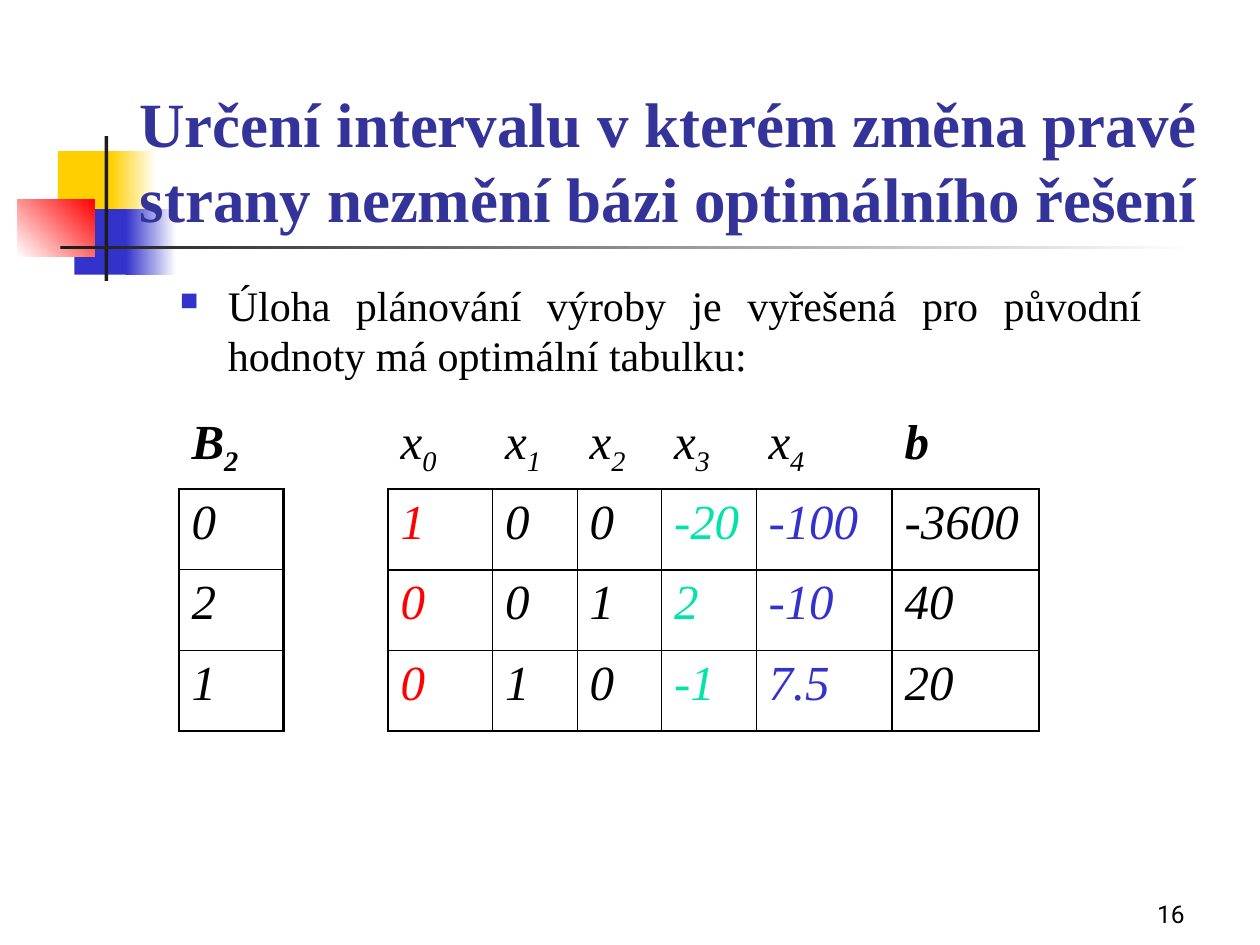
"""Build the slide on the right-hand-side interval of an optimal simplex table."""
from typing import NamedTuple, Optional

from lxml.etree import SubElement
from pptx import Presentation
from pptx.dml.color import RGBColor
from pptx.enum.shapes import MSO_SHAPE as Shape
from pptx.enum.text import MSO_ANCHOR as Anchor, MSO_AUTO_SIZE as AutoSize, PP_ALIGN as Align
from pptx.oxml.ns import qn
from pptx.util import Inches, Pt

BLACK = RGBColor(0x00, 0x00, 0x00)
WHITE = RGBColor(0xFF, 0xFF, 0xFF)
CHARCOAL = RGBColor(0x1C, 0x1C, 0x1C)
YELLOW = RGBColor(0xFF, 0xCF, 0x01)
BLUE = RGBColor(0x33, 0x33, 0xCC)
NAVY = RGBColor(0x33, 0x33, 0x99)
RED = RGBColor(0xFF, 0x00, 0x00)
GREEN = RGBColor(0x00, 0xE4, 0xA8)
SERIF = "Times New Roman"
THICK, THIN = 1.47, 0.45


class Area(NamedTuple):
    left: float
    top: float
    width: float
    height: float

    def lengths(self) -> list:
        return [Inches(value) for value in self]


class Block(NamedTuple):
    area: Area
    start: RGBColor
    end: Optional[RGBColor] = None
    angle: float = 0


BLOCKS = [
    Block(Area(0.46, 1.2, 0.48, 0.52), YELLOW),
    Block(Area(0.88, 1.2, 0.36, 0.52), YELLOW, WHITE),
    Block(Area(0.59, 1.66, 0.46, 0.52), BLUE),
    Block(Area(1, 1.66, 0.4, 0.52), BLUE, WHITE),
    Block(Area(0.14, 1.58, 0.61, 0.46), WHITE, RED, 45),
    Block(Area(0.83, 1.08, 0.03, 1.15), CHARCOAL),
    Block(Area(0.48, 1.95, 9, 0.03), CHARCOAL, WHITE),
]
TABLE_AREA = Area(1.42, 3.25, 6.83, 2.56)
COLUMN_WIDTHS = [0.83, 0.83, 0.83, 0.67, 0.67, 0.75, 1.08, 1.17]
ROW_HEIGHTS = [0.63, 0.64, 0.64, 0.64]
GAP_COLUMN, FIRST_X, B_COLUMN = 1, 2, 7
COLUMN_COLORS = {2: RED, 5: GREEN, 6: BLUE}
ROWS = [
    ["B_2", "", "x_0", "x_1", "x_2", "x_3", "x_4", "b"],
    ["0", "", "1", "0", "0", "-20", "-100", "-3600"],
    ["2", "", "0", "0", "1", "2", "-10", "40"],
    ["1", "", "0", "1", "0", "-1", "7.5", "20"],
]


def draw_block(page, block: Block) -> None:
    shape = page.shapes.add_shape(Shape.RECTANGLE, *block.area.lengths())
    shape.shadow.inherit = False
    shape.line.fill.background()
    if block.end is None:
        shape.fill.solid()
        shape.fill.fore_color.rgb = block.start
        return
    shape.fill.gradient()
    shape.fill.gradient_angle = block.angle
    for stop, color in zip(shape.fill.gradient_stops, (block.start, block.end)):
        stop.color.rgb = color


def add_span(para, text: str, size: float, color: RGBColor, name: str = SERIF,
             bold: bool = False, italic: bool = False):
    span = para.add_run()
    span.text = text
    font = span.font
    font.name, font.size, font.bold, font.italic = name, Pt(size), bold, italic
    font.color.rgb = color
    return span


def add_text_box(page, area: Area, align: Align, anchor: Anchor):
    frame = page.shapes.add_textbox(*area.lengths()).text_frame
    frame.word_wrap = True
    frame.vertical_anchor = anchor
    para = frame.paragraphs[0]
    para.alignment = align
    return para


def add_square_bullet(para) -> None:
    props = para._p.get_or_add_pPr()
    props.set("marL", str(Inches(0.38)))
    props.set("indent", str(-Inches(0.38)))
    color = SubElement(props, qn("a:buClr"))
    SubElement(color, qn("a:srgbClr"), val=str(BLUE))
    SubElement(props, qn("a:buSzPct"), val="60000")
    SubElement(props, qn("a:buChar"), char="■")


def is_boxed(row: int, column: int) -> bool:
    return 0 < row < len(ROWS) and 0 <= column <= B_COLUMN and column != GAP_COLUMN


def edge_width(first: tuple, second: tuple) -> float:
    boxed = is_boxed(*first) + is_boxed(*second)
    if boxed < 2:
        return THICK * boxed
    below_objective = first[0] == 1 and second[0] == 2 and first[1] >= FIRST_X
    return THICK if below_objective or second[1] > first[1] == B_COLUMN - 1 else THIN


def set_borders(cell, row: int, column: int) -> None:
    here = (row, column)
    widths = {
        "a:lnL": edge_width((row, column - 1), here),
        "a:lnR": edge_width(here, (row, column + 1)),
        "a:lnT": edge_width((row - 1, column), here),
        "a:lnB": edge_width(here, (row + 1, column)),
    }
    props = cell._tc.get_or_add_tcPr()
    for tag, width in widths.items():
        line = SubElement(props, qn(tag), w=str(Pt(width)))
        if width:
            fill = SubElement(line, qn("a:solidFill"))
            SubElement(fill, qn("a:srgbClr"), val=str(BLACK))
        else:
            SubElement(line, qn("a:noFill"))


def fill_cell(cell, row: int, column: int, text: str) -> None:
    set_borders(cell, row, column)
    cell.fill.background()
    color = COLUMN_COLORS.get(column, BLACK) if row else BLACK
    bold = row == 0 and column in (0, B_COLUMN)
    base, _, index = text.partition("_")
    para = cell.text_frame.paragraphs[0]
    if base:
        add_span(para, base, 28, color, bold=bold, italic=True)
    if index:
        span = add_span(para, index, 28, color, bold=bold, italic=True)
        span._r.get_or_add_rPr().set("baseline", "-25000")


def draw_table(page) -> None:
    frame = page.shapes.add_table(len(ROWS), len(COLUMN_WIDTHS), *TABLE_AREA.lengths())
    table = frame.table
    table.first_row = table.horz_banding = False
    for column, width in zip(table.columns, COLUMN_WIDTHS):
        column.width = Inches(width)
    for row, height in zip(table.rows, ROW_HEIGHTS):
        row.height = Inches(height)
    for row, texts in enumerate(ROWS):
        for column, text in enumerate(texts):
            fill_cell(table.cell(row, column), row, column, text)


def place_title(page) -> None:
    title = page.shapes.title
    title.left, title.top, title.width, title.height = Area(0.83, 0.67, 8.95, 1.25).lengths()
    frame = title.text_frame
    frame.auto_size = AutoSize.NONE
    frame.vertical_anchor = Anchor.BOTTOM
    para = frame.paragraphs[0]
    para.alignment = Align.CENTER
    add_span(para, "Určení intervalu v kterém změna pravé strany nezmění bázi optimálního řešení",
             36, NAVY, bold=True)
    page.shapes._spTree.append(title._element)


def main() -> None:
    deck = Presentation()
    deck.slide_width, deck.slide_height = Inches(10), Inches(7.5)
    page = deck.slides.add_slide(deck.slide_layouts[5])
    for block in BLOCKS:
        draw_block(page, block)
    number = add_text_box(page, Area(7.42, 6.92, 2.08, 0.5), Align.RIGHT, Anchor.BOTTOM)
    add_span(number, "16", 14, BLACK, name="Roboto")
    place_title(page)
    body = add_text_box(page, Area(1.33, 2.17, 7.83, 1.33), Align.JUSTIFY, Anchor.TOP)
    add_square_bullet(body)
    add_span(body, "Úloha plánování výroby je vyřešená pro původní hodnoty má optimální tabulku:",
             24, BLACK)
    draw_table(page)
    deck.save("out.pptx")


if __name__ == "__main__":
    main()
